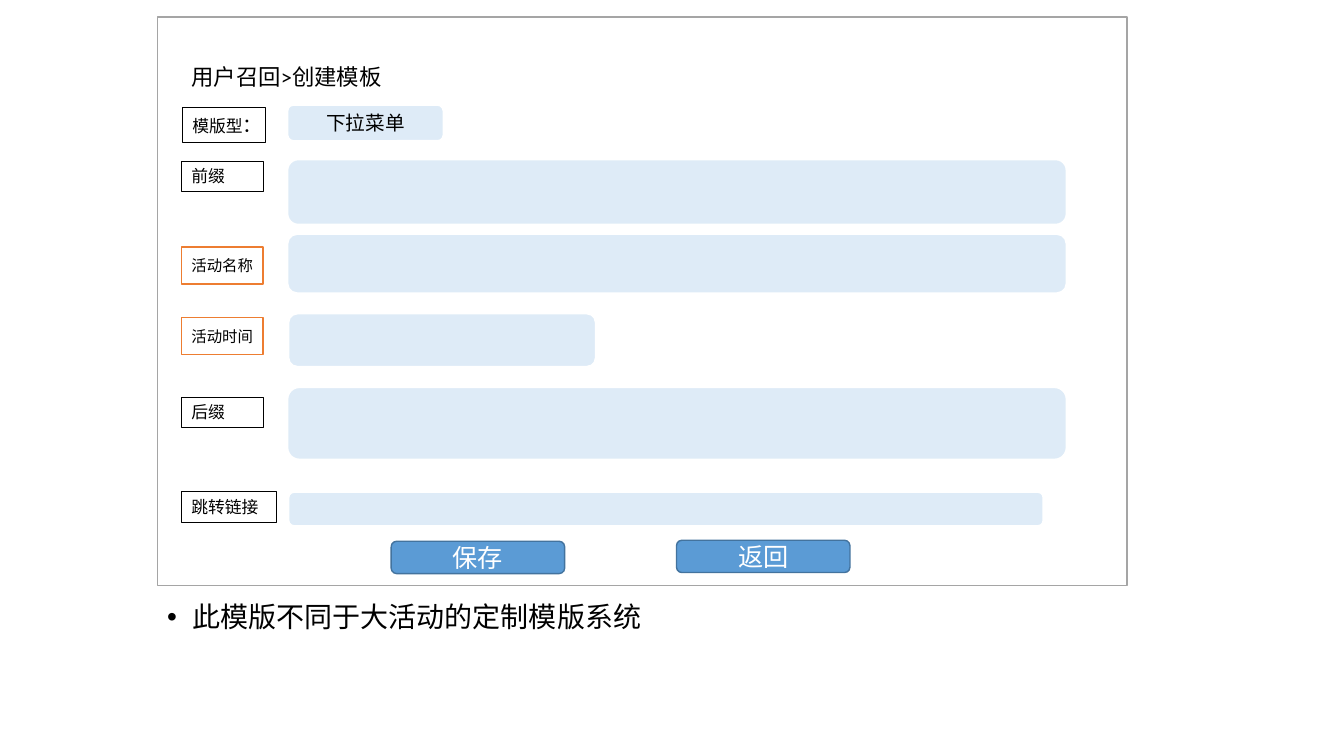
from lxml import etree
from pptx import Presentation
from pptx.dml.color import RGBColor
from pptx.enum.shapes import MSO_SHAPE
from pptx.enum.text import MSO_ANCHOR, MSO_AUTO_SIZE, PP_ALIGN
from pptx.oxml.ns import qn
from pptx.util import Inches, Pt

RECT, ROUNDED = MSO_SHAPE.RECTANGLE, MSO_SHAPE.ROUNDED_RECTANGLE
TOP, MIDDLE = MSO_ANCHOR.TOP, MSO_ANCHOR.MIDDLE
LEFT, CENTER = PP_ALIGN.LEFT, PP_ALIGN.CENTER
GROW, FIXED = MSO_AUTO_SIZE.SHAPE_TO_FIT_TEXT, MSO_AUTO_SIZE.NONE
TITLE_ONLY = 5
LATIN, CHINESE = "Calibri", "Noto Sans CJK SC"
COLORS = {
    "white": "FFFFFF", "black": "000000", "gray": "A5A5A5", "field": "DEEBF7",
    "button": "5B9BD5", "button_line": "43739E", "orange": "ED7D31",
}
LABEL_LEFT, FIELD_LEFT = 1.8, 2.85
FIELDS = [
    (FIELD_LEFT, 1.58, 7.73, 0.65),
    (FIELD_LEFT, 2.32, 7.73, 0.59),
    (2.86, 3.11, 3.05, 0.53),
    (FIELD_LEFT, 3.84, 7.73, 0.72),
    (2.86, 4.88, 7.49, 0.34),
]
LABELS = [("前缀", 1.6, 0.81), ("后缀", 3.94, 0.81), ("跳转链接", 4.88, 0.94)]
ACTIVITY_LABELS = [("活动名称", 2.45), ("活动时间", 3.15)]
BUTTONS = [("保存", 3.88, 5.37), ("返回", 6.71, 5.36)]


def color(name):
    """Return the named colour."""
    return RGBColor.from_string(COLORS[name])


def add_box(page, kind, bounds, fill, line, weight):
    """Add a preset shape with the given fill and outline."""
    box = page.shapes.add_shape(kind, *map(Inches, bounds))
    box.shadow.inherit = False
    if fill:
        box.fill.solid()
        box.fill.fore_color.rgb = color(fill)
    else:
        box.fill.background()
    box.line.color.rgb = color(line)
    box.line.width = Pt(weight)
    return box


def write(box, text, size, ink="black", font=LATIN, align=LEFT, anchor=MIDDLE):
    """Write one paragraph into a shape and return it."""
    frame = box.text_frame
    frame.word_wrap = True
    frame.auto_size = FIXED
    frame.vertical_anchor = anchor
    para = frame.paragraphs[0]
    para.text = text
    para.alignment = align
    para.font.size = Pt(size)
    para.font.name = font
    para.font.color.rgb = color(ink)
    return para


def add_field(page, bounds):
    """Add a pale rounded input field."""
    return add_box(page, ROUNDED, bounds, "field", "white", 1.5)


def add_label(page, text, bounds):
    """Add a black-outlined field label and return its paragraph."""
    box = add_box(page, RECT, bounds, None, "black", 0.75)
    para = write(box, text, 12, anchor=TOP)
    box.text_frame.auto_size = GROW
    return para


def add_activity_label(page, text, top):
    """Add an orange-outlined label with narrow margins."""
    box = add_box(page, RECT, (LABEL_LEFT, top, 0.81, 0.37), "white", "orange", 1)
    write(box, text, 11, font=CHINESE, align=CENTER)
    frame = box.text_frame
    frame.margin_left = frame.margin_right = Inches(0.06)
    frame.margin_top = frame.margin_bottom = Inches(0.06)


def add_button(page, text, left, top):
    """Add a blue form button."""
    box = add_box(page, ROUNDED, (left, top, 1.72, 0.32), "button", "button_line", 1)
    write(box, text, 18, "white", align=CENTER)


def add_title(page, text):
    """Place and format the title placeholder."""
    title = page.shapes.title
    title.left, title.top = Inches(1.8), Inches(0.46)
    title.width, title.height = Inches(6.27), Inches(0.64)
    write(title, text, 16).line_spacing = 0.9


def add_bullet_note(page, text):
    """Add the bulleted note below the form."""
    box = page.shapes.add_textbox(*map(Inches, (1.56, 5.94, 11.5, 0.67)))
    para = write(box, text, 20, anchor=TOP)
    para.line_spacing = 0.9
    para.space_before = Pt(10)
    properties = para._p.get_or_add_pPr()
    properties.set("marL", str(Inches(0.25)))
    properties.set("indent", str(-Inches(0.25)))
    bullet_font = etree.Element(qn("a:buFont"), typeface="Arial")
    bullet = etree.Element(qn("a:buChar"), char="•")
    defaults = properties.find(qn("a:defRPr"))
    defaults.addprevious(bullet_font)
    defaults.addprevious(bullet)


def main():
    """Build the template form slide."""
    deck = Presentation()
    deck.slide_width, deck.slide_height = Inches(13.33), Inches(7.5)
    page = deck.slides.add_slide(deck.slide_layouts[TITLE_ONLY])

    panel = add_box(page, RECT, (1.56, 0.17, 9.62, 5.64), "white", "gray", 1)
    page.shapes.title._element.addprevious(panel._element)
    add_title(page, "用户召回>创建模板")
    add_bullet_note(page, "此模版不同于大活动的定制模版系统")

    for bounds in FIELDS:
        add_field(page, bounds)
    menu = add_field(page, (FIELD_LEFT, 1.04, 1.55, 0.36))
    write(menu, "下拉菜单", 14, align=CENTER)

    for text, top, width in LABELS:
        add_label(page, text, (LABEL_LEFT, top, width, 0.3))
    type_label = add_label(page, "模版型", (1.81, 1.07, 0.82, 0.34))
    colon = type_label.add_run()
    colon.text = "："
    colon.font.size = Pt(14)

    for text, top in ACTIVITY_LABELS:
        add_activity_label(page, text, top)
    for text, left, top in BUTTONS:
        add_button(page, text, left, top)
    deck.save("out.pptx")


if __name__ == "__main__":
    main()
